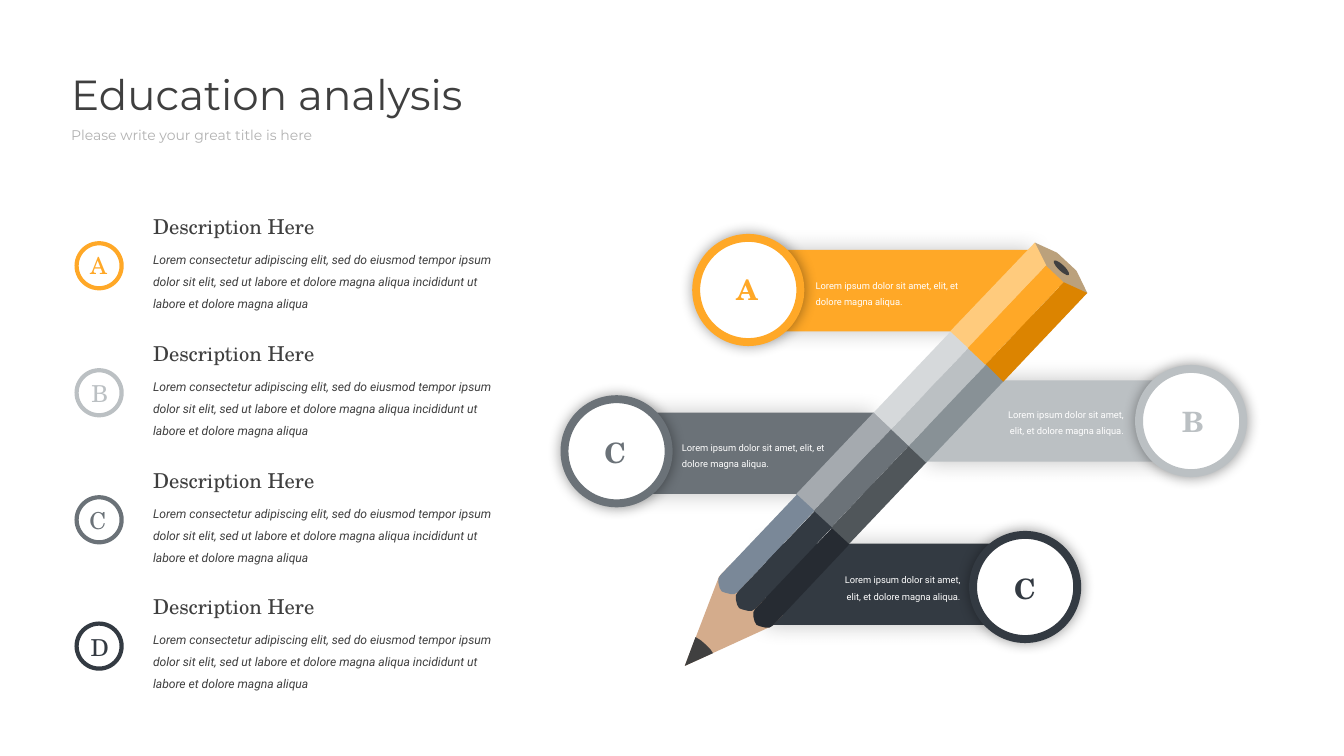
"""Build the education analysis slide: four lettered notes beside a pencil with four banners."""
from lxml.etree import SubElement
from pptx import Presentation
from pptx.dml.color import RGBColor
from pptx.enum.shapes import MSO_SHAPE as Shape
from pptx.enum.text import MSO_AUTO_SIZE as AutoSize, PP_ALIGN as Align
from pptx.oxml.ns import qn
from pptx.util import Pt

PX = 9144
SERIF, SANS, DISPLAY = "TeX Gyre Schola", "Roboto", "Montserrat"
ORANGE, SILVER, GREY, NAVY = "FFA827", "BBC0C3", "6B7278", "333A42"
INK, WHITE = "3F3F3F", "FFFFFF"
NOTE = ("Lorem consectetur adipiscing elit, sed do eiusmod tempor ipsum dolor sit elit, "
        "sed ut labore et dolore magna aliqua incididunt ut labore et dolore magna aliqua")
CAPTION = "Lorem ipsum dolor sit amet, elit, et dolore magna aliqua."
rgb = RGBColor.from_string

deck = Presentation()
deck.slide_width, deck.slide_height = 2000 * PX, 1125 * PX
slide = deck.slides.add_slide(deck.slide_layouts[6])
shapes = slide.shapes


def draw(outline, box=None, turn=0, fill=None, line=None, weight=0, shadow=None):
    if box:
        shape = shapes.add_shape(outline, *[side * PX for side in box])
    else:
        pen = shapes.build_freeform(*outline[0], scale=PX)
        pen.add_line_segments(outline[1:], close=True)
        shape = pen.convert_to_shape()
    shape.rotation = turn
    shape.shadow.inherit = False
    if fill:
        shape.fill.solid()
        shape.fill.fore_color.rgb = rgb(fill)
    else:
        shape.fill.background()
    if line:
        shape.line.color.rgb = rgb(line)
        shape.line.width = Pt(weight)
    else:
        shape.line.fill.background()
    if shadow:
        opacity, blur = shadow
        effects = shape._element.spPr.find(qn("a:effectLst"))
        outer = SubElement(effects, qn("a:outerShdw"), blurRad=str(Pt(blur)), dist="0",
                           dir="0", algn="ctr", rotWithShape="0")
        black = SubElement(outer, qn("a:srgbClr"), val="000000")
        SubElement(black, qn("a:alpha"), val=str(opacity * 1000))


def write(text, left, top, width, height, size, font, color,
          align=Align.LEFT, spacing=None, bold=False, italic=False):
    frame = shapes.add_textbox(left * PX, top * PX, width * PX, height * PX).text_frame
    frame.word_wrap = True
    frame.auto_size = AutoSize.SHAPE_TO_FIT_TEXT
    paragraph = frame.paragraphs[0]
    paragraph.alignment = align
    paragraph.line_spacing = spacing
    run = paragraph.add_run()
    run.text = text
    run.font.size, run.font.name = Pt(size), font
    run.font.bold, run.font.italic = bold, italic
    run.font.color.rgb = rgb(color)


banners = [
    (ORANGE, 1537, 1104, 372),
    (NAVY, 1140, 1569, 809),
    (SILVER, 1380, 1809, 566),
    (GREY, 1300, 866, 614),
]
for color, flat, tip, top in banners:
    shoulder = tip + 42 if tip < flat else tip - 42
    draw([(flat, top), (shoulder, top), (tip, top + 60), (shoulder, top + 121),
          (flat, top + 121)], fill=color, shadow=(23, 24))

TILT = 313.5
bands = [
    (1171, 669, ("A5AAAF", GREY, "50565A")),
    (1287, 547, ("D6D9DB", SILVER, "889196")),
]
for left, top, tones in bands:
    for side, tone in enumerate(tones):
        draw(Shape.RECTANGLE, (left + 26 * side, top + 25 * side, 169, 36), TILT, fill=tone)

draw([(1544, 396), (1540, 361), (1573, 376), (1602, 403), (1618, 436), (1583, 433)],
     fill="BBA17C")
draw([(1557, 395), (1540, 361), (1414, 493), (1441, 518)], fill="FFCB7D")
draw(Shape.RECTANGLE, (1427, 451, 169, 36), TILT, fill=ORANGE)
draw([(1618, 436), (1583, 420), (1467, 542), (1493, 568)], fill="DC8400")
draw(Shape.OVAL, (1575, 383, 9, 31), TILT, fill="404040")

draw([(1148, 932), (1019, 991), (1070, 858), (1087, 840), (1165, 915)], fill="D4AC8C")
barrel = [(1186, 736), (1072, 856), (1069, 861), (1069, 867), (1071, 875), (1074, 880),
          (1079, 882), (1087, 884), (1093, 884), (1098, 881), (1212, 760)]
for side, tone in enumerate(("7A8898", NAVY, "262B32")):
    draw([(x + 26 * side, y + 25 * side) for x, y in barrel], fill=tone)
draw([(1051, 960), (1043, 953), (1035, 948), (1019, 991), (1061, 972), (1057, 966)],
     fill="404040")

medallions = [
    ("C", GREY, (840, 594), (871, 643), (1005, 644, 240), Align.LEFT),
    ("A", ORANGE, (1036, 354), (1067, 401), (1204, 403, 240), Align.LEFT),
    ("B", SILVER, (1695, 549), (1731, 597), (1469, 595, 213), Align.RIGHT),
    ("C", NAVY, (1448, 796), (1481, 846), (1226, 841, 213), Align.RIGHT),
]
for letter, color, disc, mark, caption, align in medallions:
    draw(Shape.OVAL, (*disc, 155, 155), fill=WHITE, line=color, weight=8.5, shadow=(40, 15))
    write(letter, *mark, 89, 61, size=30, font=SERIF, color=color, align=Align.CENTER, bold=True)
    write(CAPTION, *caption, 61, size=10, font=SANS, color=WHITE, align=align, spacing=1.5)

notes = [
    ("A", ORANGE, 362, 122, 369),
    ("B", SILVER, 551, 124, 560),
    ("C", GREY, 740, 121, 748),
    ("D", NAVY, 928, 124, 937),
]
for letter, color, top, letter_left, letter_top in notes:
    draw(Shape.OVAL, (114, top, 67, 67), line=color, weight=4.5)
    write(letter, letter_left, letter_top, 49, 52, size=25, font=SERIF, color=color,
          align=Align.CENTER)
    write("Description Here", 218, top - 49, 304, 47, size=22, font=SERIF, color=INK)
    write(NOTE, 218, top - 2, 525, 105, size=13, font=SANS, color=INK, spacing=1.5, italic=True)

write("Education analysis", 96, 97, 671, 86, size=45, font=DISPLAY, color=INK)
write("Please write your great title is here", 96, 183, 462, 35, size=15, font=DISPLAY,
      color="B2B2B2")

deck.save("out.pptx")
